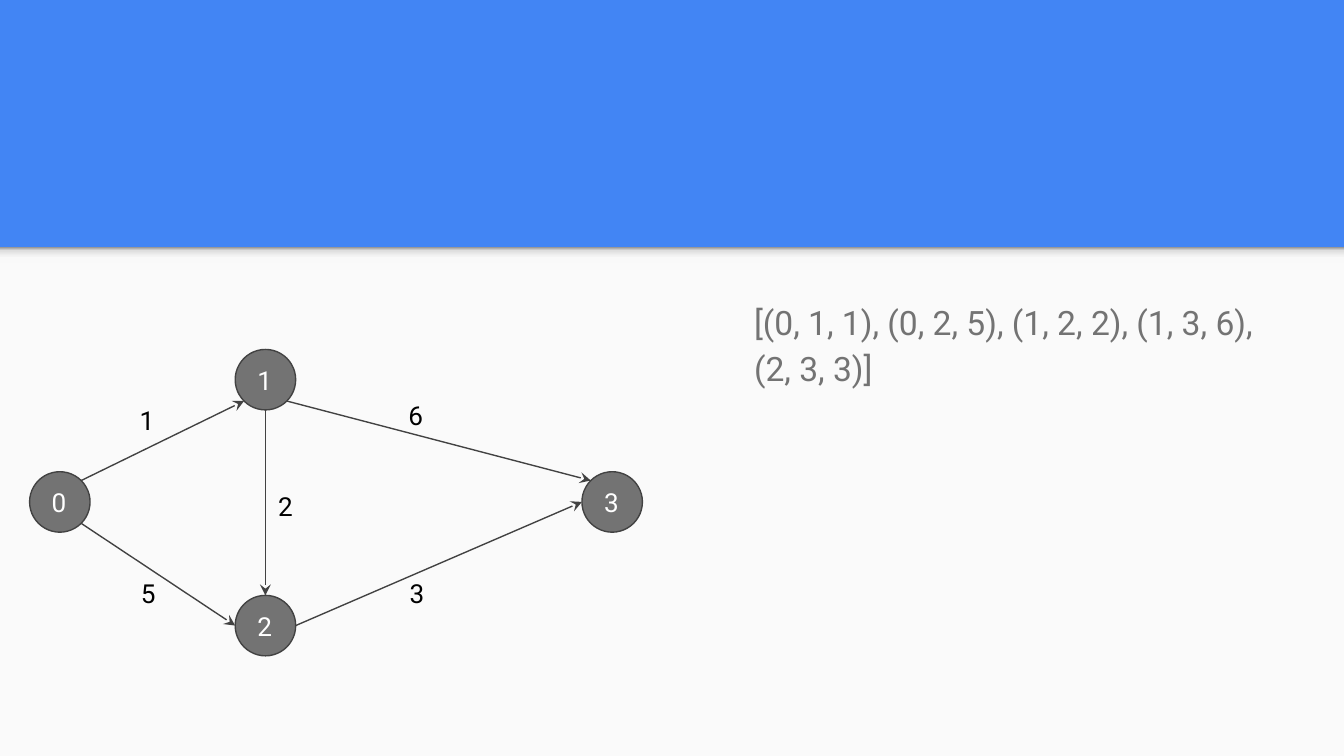
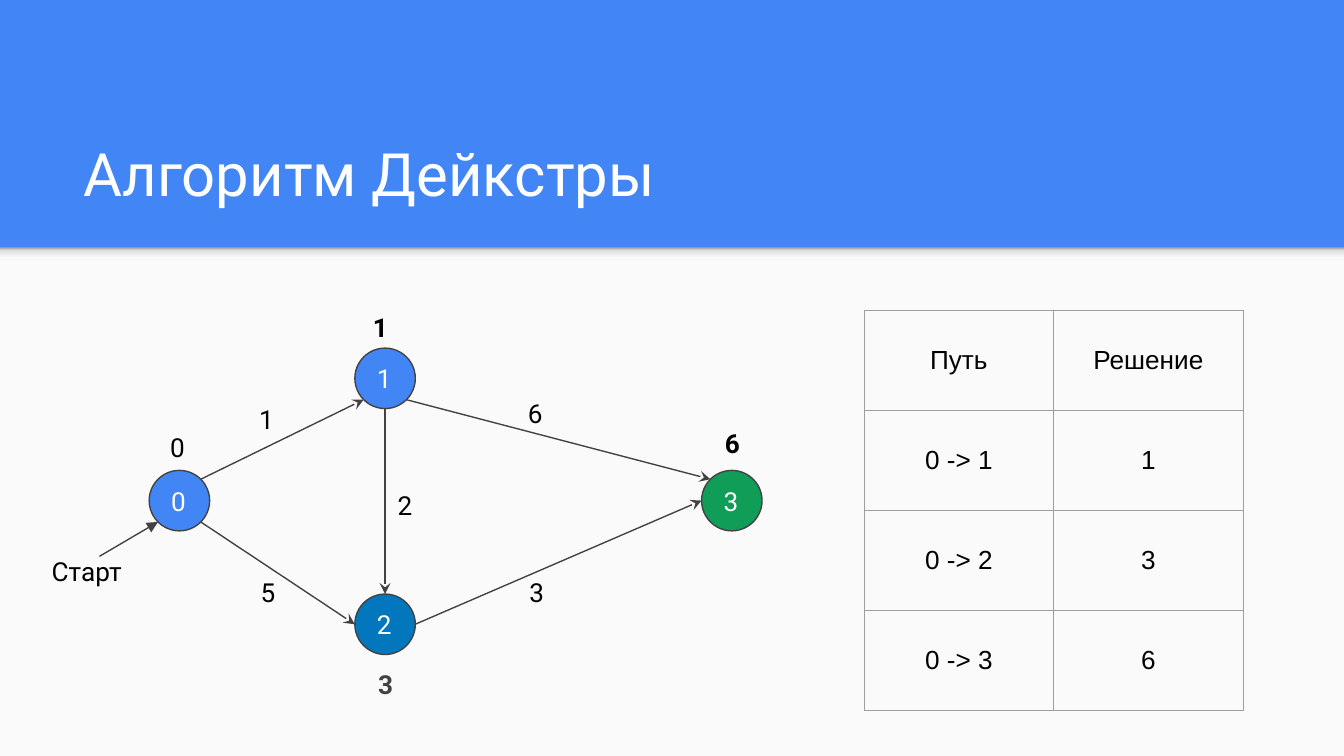
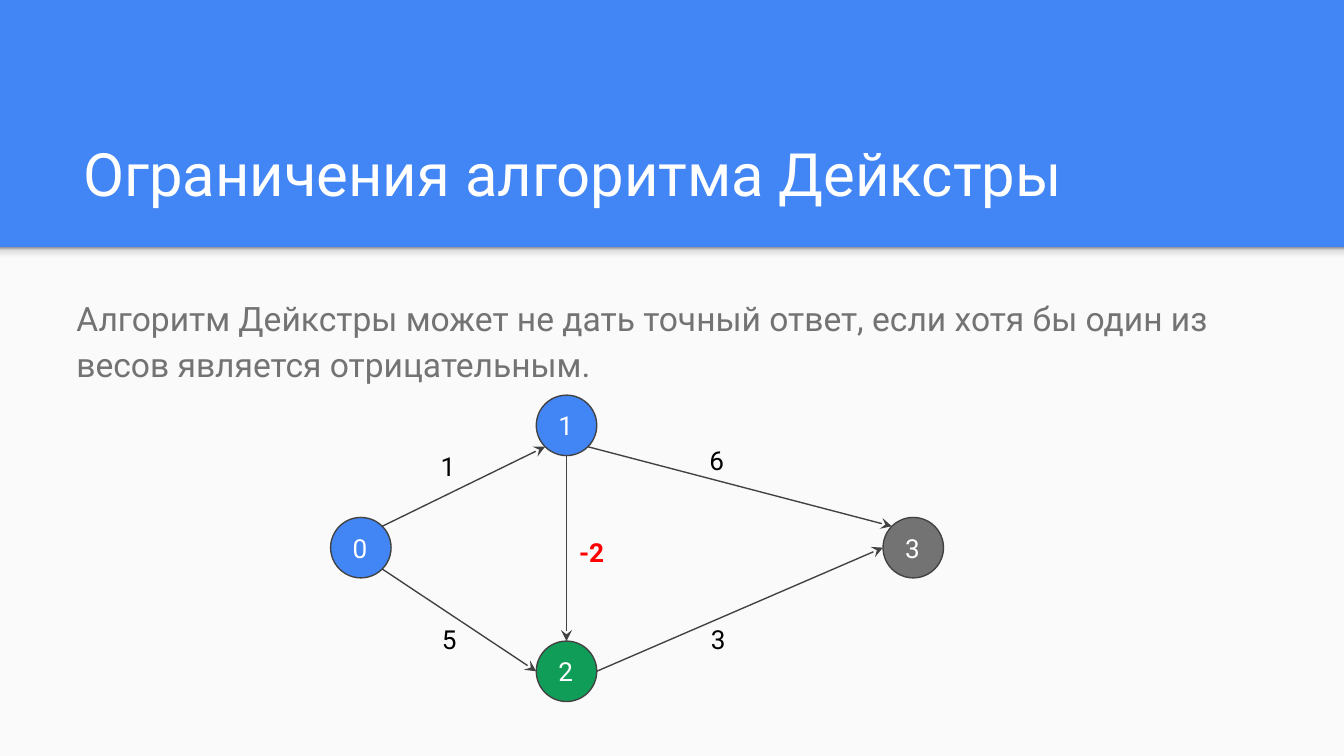
from math import cos, radians, sin

from lxml.etree import SubElement
from pptx import Presentation
from pptx.dml.color import RGBColor
from pptx.enum.shapes import MSO_CONNECTOR as LINE, MSO_SHAPE as SHAPE
from pptx.enum.text import MSO_ANCHOR as ANCHOR, MSO_AUTO_SIZE as FIT, PP_ALIGN as ALIGN
from pptx.oxml.ns import qn
from pptx.util import Inches, Pt

THEME = {
    "blue": "4285F4", "deep": "0277BD", "green": "0F9D58", "gray": "737373",
    "line": "424242", "border": "9E9E9E", "panel": "FAFAFA", "white": "FFFFFF",
    "black": "000000", "red": "FF0000",
    "shade": [(0, "F9F9F9"), (36, "F9F9F9"), (80, "DEDEDE"), (100, "999999")],
    "font": "Roboto", "table_font": "Arial",
    "title_pt": 32, "body_pt": 18, "label_pt": 14, "line_pt": 0.75, "inset": 0.1,
}
W, H = 10, 10 * 9 / 16
BAND = 1.84
NODE = 0.45
TITLE_BOX = (0.52, 0.81, 8.99, 0.84)
LABEL_SIZE = (0.35, 0.37)

NODES = [(0, 0), (1.53, -0.91), (1.53, 0.92), (4.11, 0)]
ANGLES = {"E": 0, "NE": 45, "NW": 135, "W": 180, "SW": 225, "S": 270, "SE": 315, "N": 90}
EDGES = [
    (0, "NE", 1, "SW", (0.72, -0.6)),
    (1, "SE", 3, "NW", (2.72, -0.64)),
    (2, "E", 3, "W", (2.73, 0.69)),
    (0, "SE", 2, "W", (0.73, 0.69)),
    (1, "S", 2, "N", (1.75, 0.04)),
]

SLIDES = [
    {
        "body": ("[(0, 1, 1), (0, 2, 5), (1, 2, 2), (1, 3, 6), (2, 3, 3)]",
                 (5.39, 2.1, 4.11, 2.96), 0.22),
        "graph": (0.22, 3.51),
        "colors": ["gray"] * 4,
        "weights": ["1", "6", "3", "5", "2"],
    },
    {
        "title": "Алгоритм Дейкстры",
        "graph": (1.11, 3.5),
        "colors": ["blue", "blue", "deep", "green"],
        "weights": ["1", "6", "3", "5", "2"],
        "start": ((0.74, 4.14), "SW"),
        "distances": [
            ("Старт", (0.19, 4.03, 0.91, 0.31), "black", False),
            ("0", (1.08, 3.11, 0.48, 0.36), "black", False),
            ("1", (2.31, 2.22, 1.04, 0.36), "black", True),
            ("3", (2.21, 4.87, 1.32, 0.64), "line", True),
            ("6", (4.77, 3.08, 1.36, 0.4), "black", True),
        ],
        "table": [("Путь", "Решение"), ("0 -> 1", "1"), ("0 -> 2", "3"), ("0 -> 3", "6")],
        "table_box": (6.43, 2.31, 2.82, 2.98),
    },
    {
        "title": "Ограничения алгоритма Дейкстры",
        "body": ("Алгоритм Дейкстры может не дать точный ответ, "
                 "если хотя бы один из весов является отрицательным.",
                 (0.47, 2.07, 8.99, 2.96), 0.1),
        "graph": (2.46, 3.85),
        "colors": ["blue", "blue", "green", "gray"],
        "weights": ["1", "6", "3", "5", "-2"],
    },
]


def rgb(name):
    return RGBColor.from_string(THEME.get(name, name))


def emu(values):
    return [Inches(v) for v in values]


def set_all(target, **values):
    for name, value in values.items():
        setattr(target, name, value)


def write(tf, text, size="label_pt", color="black", bold=False, font="font",
          align=ALIGN.LEFT, anchor=ANCHOR.TOP):
    inset = Inches(THEME["inset"])
    set_all(tf, word_wrap=True, auto_size=FIT.NONE, vertical_anchor=anchor,
            margin_left=inset, margin_right=inset, margin_top=inset, margin_bottom=inset)
    fill_text(tf.paragraphs[0], text, size, color, bold, font, align)


def fill_text(p, text, size, color, bold, font, align):
    p.alignment = align
    r = p.add_run()
    r.text = text
    set_all(r.font, name=THEME[font], size=Pt(THEME[size]), bold=bold)
    r.font.color.rgb = rgb(color)


def add_text(shapes, text, box, **style):
    sp = shapes.add_textbox(*emu(box))
    write(sp.text_frame, text, **style)
    return sp


def add_filled(shapes, kind, box, color):
    sp = shapes.add_shape(kind, *emu(box))
    sp.shadow.inherit = False
    sp.fill.solid()
    sp.fill.fore_color.rgb = rgb(color)
    return sp


def add_arrow(shapes, start, end, head):
    cx = shapes.add_connector(LINE.STRAIGHT, *emu((*start, *end)))
    cx.line.color.rgb = rgb("line")
    cx.line.width = Pt(THEME["line_pt"])
    SubElement(cx.line._get_or_add_ln(), qn("a:tailEnd"), type=head)
    SubElement(cx._element.spPr, qn("a:effectLst"))


def rim(origin, node, side):
    angle = radians(ANGLES[side])
    x, y = (o + d + NODE / 2 for o, d in zip(origin, NODES[node]))
    return x + NODE / 2 * cos(angle), y - NODE / 2 * sin(angle)


def add_graph(s, origin, colors, weights):
    shapes = s.shapes.add_group_shape().shapes
    ox, oy = origin
    for i, ((dx, dy), color) in enumerate(zip(NODES, colors)):
        sp = add_filled(shapes, SHAPE.OVAL, (ox + dx, oy + dy, NODE, NODE), color)
        sp.line.color.rgb = rgb("line")
        sp.line.width = Pt(THEME["line_pt"])
        write(sp.text_frame, str(i), color="white", anchor=ANCHOR.MIDDLE)
    for a, out, b, into, _ in EDGES:
        add_arrow(shapes, rim(origin, a, out), rim(origin, b, into), "stealth")
    for (*_, (dx, dy)), weight in zip(EDGES, weights):
        negative = weight.startswith("-")
        width, height = LABEL_SIZE
        box = (ox + dx, oy + dy, 0.59 if negative else width, height)
        add_text(shapes, weight, box, color="red" if negative else "black", bold=negative)


def add_border(cell):
    tcPr = cell._tc.get_or_add_tcPr()
    for i, side in enumerate(("lnL", "lnR", "lnT", "lnB")):
        ln = tcPr.makeelement(qn(f"a:{side}"), {"w": str(Pt(THEME["line_pt"]))})
        SubElement(SubElement(ln, qn("a:solidFill")), qn("a:srgbClr"), val=THEME["border"])
        tcPr.insert(i, ln)


def add_grid(s, rows, box):
    table = s.shapes.add_table(len(rows), len(rows[0]), *emu(box)).table
    set_all(table, first_row=False, horz_banding=False)
    inset = Inches(THEME["inset"])
    for r, row in enumerate(rows):
        for c, text in enumerate(row):
            cell = table.cell(r, c)
            set_all(cell, vertical_anchor=ANCHOR.MIDDLE, margin_left=inset,
                    margin_right=inset, margin_top=inset, margin_bottom=inset)
            cell.fill.background()
            add_border(cell)
            fill_text(cell.text_frame.paragraphs[0], text, "label_pt", "black", False,
                      "table_font", ALIGN.CENTER)


def style_master(prs, s):
    master = prs.slide_master
    master.background.fill.solid()
    master.background.fill.fore_color.rgb = rgb("blue")
    panel = add_filled(s.shapes, SHAPE.RECTANGLE, (0, BAND, W, H - BAND), "panel")
    shade = add_filled(s.shapes, SHAPE.RECTANGLE, (0, BAND, W, 0.12), "panel")
    shade.fill.gradient()
    shade.fill.gradient_angle = 90
    stops = shade._element.spPr.find(qn("a:gradFill")).find(qn("a:gsLst"))
    for stop in list(stops):
        stops.remove(stop)
    for share, color in THEME["shade"]:
        gs = SubElement(stops, qn("a:gs"), pos=str(share * 1000))
        SubElement(gs, qn("a:srgbClr"), val=color)
    for i, sp in enumerate((panel, shade)):
        sp.line.fill.background()
        master.shapes._spTree.insert(2 + i, sp._element)


def add_slide(prs, data):
    s = prs.slides.add_slide(prs.slide_layouts[5 if "title" in data else 6])
    if "title" in data:
        title = s.shapes.title
        set_all(title, **dict(zip(("left", "top", "width", "height"), emu(TITLE_BOX))))
        write(title.text_frame, data["title"], size="title_pt", color="white",
              anchor=ANCHOR.BOTTOM)
    if "body" in data:
        text, box, indent = data["body"]
        tf = add_text(s.shapes, text, box, size="body_pt", color="gray").text_frame
        tf.margin_left = Inches(indent)
        tf.paragraphs[0].line_spacing = 1.15
    add_graph(s, data["graph"], data["colors"], data["weights"])
    if "start" in data:
        start, side = data["start"]
        add_arrow(s.shapes, start, rim(data["graph"], 0, side), "triangle")
    for text, box, color, bold in data.get("distances", []):
        add_text(s.shapes, text, box, color=color, bold=bold, align=ALIGN.CENTER)
    if "table" in data:
        add_grid(s, data["table"], data["table_box"])
    return s


def main():
    prs = Presentation()
    prs.slide_width, prs.slide_height = emu((W, H))
    slides = [add_slide(prs, data) for data in SLIDES]
    style_master(prs, slides[0])
    prs.save("out.pptx")


if __name__ == "__main__":
    main()
